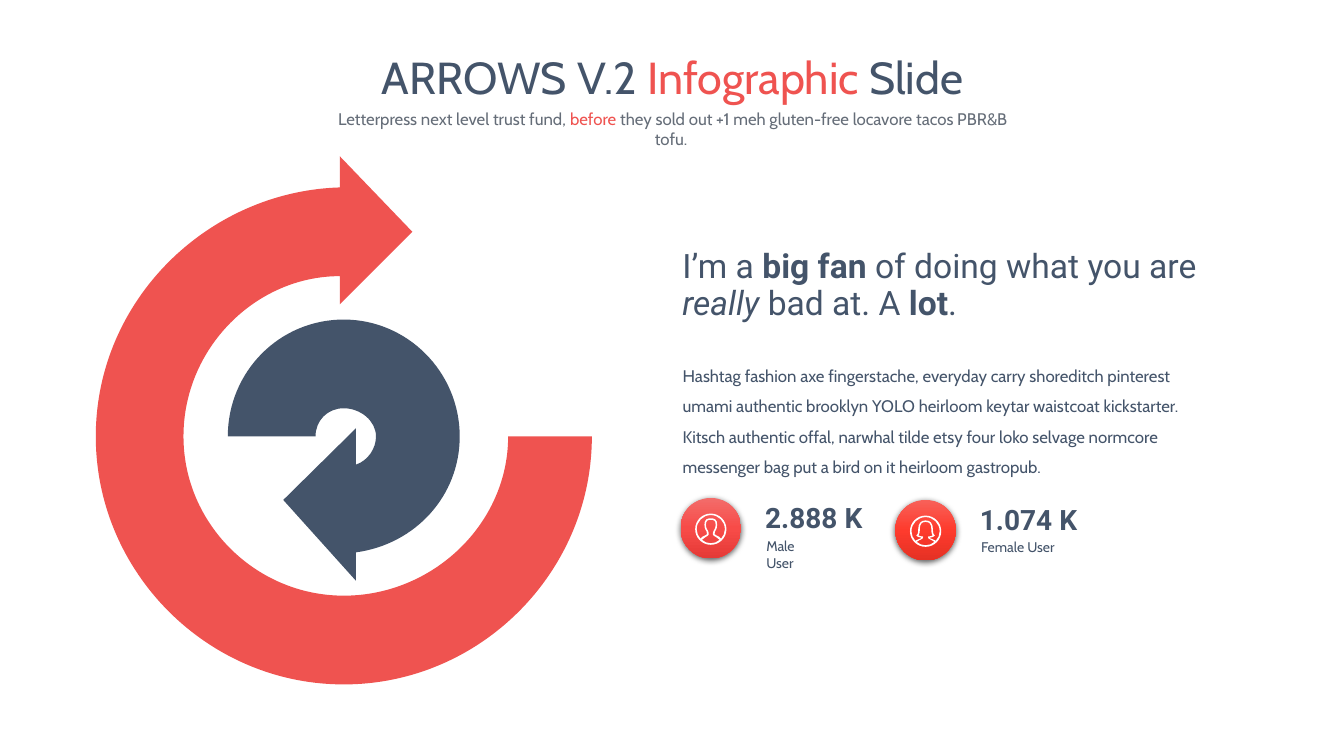
"""Build the ARROWS V.2 infographic slide with two ring arrows and user figures."""
import pptx
import pptx.dml.color
import pptx.enum.shapes
import pptx.enum.text
import pptx.oxml
import pptx.oxml.ns
import pptx.util

Inches = pptx.util.Inches
ALIGN = pptx.enum.text.PP_ALIGN
COLOURS = {"navy": "44546A", "red": "EF5350", "grey": "656D78", "white": "FFFFFF"}
NAMESPACE = pptx.oxml.ns.nsdecls("a")
RED_ARROW = [
    (5.04, 4.33), (5.04, 5.2), (4.29, 5.91), (3.41, 5.91),
    (2.54, 5.91), (1.82, 5.2), (1.82, 4.33), (1.82, 3.45), (2.54, 2.74), (3.37, 2.74),
    *[(3.37, 3.02)] * 3, *[(4.09, 2.3)] * 3, *[(3.37, 1.55)] * 3, *[(3.37, 1.86)] * 3,
    (2.06, 1.9), (0.95, 2.98), (0.95, 4.33), (0.95, 5.68), (2.06, 6.79), (3.41, 6.79),
    (4.76, 6.79), (5.87, 5.68), (5.87, 4.33),
]
NAVY_ARROW = [
    (4.56, 4.33), (4.56, 3.69), (4.04, 3.17), (3.41, 3.17),
    (2.77, 3.17), (2.26, 3.69), (2.26, 4.33), *[(3.13, 4.33)] * 3,
    (3.13, 4.17), (3.25, 4.05), (3.41, 4.05), (3.57, 4.05), (3.73, 4.17), (3.73, 4.33),
    (3.73, 4.45), (3.65, 4.57), (3.53, 4.61), *[(3.53, 4.25)] * 3, *[(2.81, 4.96)] * 3,
    *[(3.53, 5.76)] * 3, *[(3.53, 5.48)] * 3, (4.12, 5.4), (4.56, 4.92), (4.56, 4.33),
]
DISC = [(0, -155), (86, -155), (155, -86), (155, 0), (155, 86), (86, 155), (0, 155)]
SKY = [(126, 70), (140, 36), (140, 0), (140, -77), (77, -140), (0, -140)]
CHEST = [(64, 128), (34, 140), (0, 140)]
MALE_ICON = [
    [(0, -107), (35, -110), (65, -95), (63, -45), (63, -5), (50, 10), (42, 22),
     (30, 50), (38, 55), (55, 62), (75, 70), (90, 75), (102, 95)] + SKY,
    [(0, -92), (35, -95), (48, -80), (48, -45), (48, -10), (35, 5), (28, 16),
     (12, 50), (20, 65), (50, 77), (65, 83), (78, 90), (88, 106)] + CHEST,
    DISC,
]
FEMALE_ICON = [
    [(0, -107), (50, -107), (72, -75), (73, -20), (73, 20), (78, 32), (92, 45),
     (85, 54), (65, 61), (40, 65), (42, 75), (80, 78), (102, 95)] + SKY,
    [(0, -92), (40, -92), (57, -70), (57, -20), (57, 15), (62, 30), (70, 42),
     (60, 48), (45, 52), (24, 53), (18, 82), (55, 78), (88, 106)] + CHEST,
    DISC,
]


def rgb(name):
    return pptx.dml.color.RGBColor.from_string(COLOURS[name])


def place(shape, left, top, width, height):
    box = {"left": left, "top": top, "width": width, "height": height}
    for name, value in box.items():
        setattr(shape, name, Inches(value))


def write(shape, runs, size, font, colour="navy", inset=None, **paragraph_format):
    frame = shape.text_frame
    frame_format = {
        "word_wrap": True,
        "auto_size": pptx.enum.text.MSO_AUTO_SIZE.NONE,
        "vertical_anchor": pptx.enum.text.MSO_ANCHOR.TOP,
    }
    if inset is not None:
        for side in ("left", "top", "right", "bottom"):
            frame_format["margin_" + side] = Inches(inset)
    for name, value in frame_format.items():
        setattr(frame, name, value)
    paragraph = frame.paragraphs[0]
    values = {"alignment": ALIGN.LEFT, "space_before": pptx.util.Pt(0), **paragraph_format}
    for name, value in values.items():
        setattr(paragraph, name, value)
    for text, changes in runs:
        run = paragraph.add_run()
        run.text = text
        run.font.color.rgb = rgb(changes.get("colour", colour))
        font_format = {
            "name": font,
            "size": pptx.util.Pt(size),
            "bold": changes.get("bold", False),
            "italic": changes.get("italic", False),
        }
        for name, value in font_format.items():
            setattr(run.font, name, value)


def add_text(shapes, box, runs, size, font, **options):
    shape = shapes.add_textbox(*[Inches(value) for value in box])
    write(shape, runs, size, font, **options)


def add_curves(shapes, contours, colour):
    """Fill closed contours, each a start point followed by three points per curve."""
    scaled = [[(Inches(x), Inches(y)) for x, y in contour] for contour in contours]
    builder = shapes.build_freeform(*scaled[0][0])
    for index, contour in enumerate(scaled):
        if index:
            builder.move_to(*contour[0])
        builder.add_line_segments(contour[1:], close=True)
    shape = builder.convert_to_shape()
    lines = list(shape._element.iter(pptx.oxml.ns.qn("a:lnTo")))
    for first in range(0, len(lines), 3):
        curve = pptx.oxml.parse_xml(f"<a:cubicBezTo {NAMESPACE}/>")
        lines[first].addprevious(curve)
        for line in lines[first:first + 3]:
            curve.append(line[0])
            line.getparent().remove(line)
    shape.shadow.inherit = False
    shape.fill.solid()
    shape.fill.fore_color.rgb = rgb(colour)
    shape.line.fill.background()


def add_icon(shapes, centre_x, centre_y, halves):
    contours = []
    for half in halves:
        loop = half + [(-x, y) for x, y in reversed(half)][1:]
        contours.append([(centre_x + x / 1000, centre_y + y / 1000) for x, y in loop])
    add_curves(shapes, contours, "white")


def add_badge(shapes, left, top, gradient):
    oval = pptx.enum.shapes.MSO_SHAPE.OVAL
    badge = shapes.add_shape(oval, *[Inches(value) for value in (left, top, 0.6, 0.6)])
    badge.shadow.inherit = False
    badge.line.fill.background()
    stops = "".join(
        f'<a:gs pos="{i * 50000}"><a:srgbClr val="{colour}"/></a:gs>'
        for i, colour in enumerate(gradient)
    )
    properties = badge._element.spPr
    properties.find(pptx.oxml.ns.qn("a:prstGeom")).addnext(pptx.oxml.parse_xml(
        f'<a:gradFill {NAMESPACE} rotWithShape="1"><a:gsLst>{stops}</a:gsLst>'
        '<a:lin ang="5400000" scaled="0"/></a:gradFill>'))
    properties.find(pptx.oxml.ns.qn("a:effectLst")).append(pptx.oxml.parse_xml(
        f'<a:outerShdw {NAMESPACE} blurRad="57150" dist="19050" dir="5400000" algn="ctr" '
        'rotWithShape="0"><a:srgbClr val="000000"><a:alpha val="63000"/></a:srgbClr>'
        '</a:outerShdw>'))


def add_user(slide, left, top, figure, label, label_box, gradient, icon):
    shapes = slide.shapes.add_group_shape().shapes
    add_badge(shapes, left, top, gradient)
    add_text(shapes, (left + 0.74, top - 0.02, 1.19, 0.44),
             [(figure, {"bold": True})], 20, "Roboto")
    add_text(shapes, label_box, [(label, {})], 10, "Cabin", inset=0)
    add_icon(shapes, left + 0.3, top + 0.31, icon)


def main():
    presentation = pptx.Presentation()
    presentation.slide_width = Inches(13.33)
    presentation.slide_height = Inches(7.5)
    slide = presentation.slides.add_slide(presentation.slide_layouts[1])

    title, body = slide.placeholders
    place(title, 2.54, 0.44, 8.26, 0.64)
    write(title, [("ARROWS V.2 ", {}), ("Infographic ", {"colour": "red"}), ("Slide", {})],
          32, "Cabin", alignment=ALIGN.CENTER)
    add_text(slide.shapes, (3.2, 1.03, 6.95, 0.3), [
        ("Letterpress next level trust fund, ", {}), ("before", {"colour": "red"}),
        (" they sold out +1 meh gluten-free locavore tacos PBR&B tofu. ", {}),
    ], 12, "Cabin", colour="grey", alignment=ALIGN.CENTER)

    arrows = slide.shapes.add_group_shape().shapes
    add_curves(arrows, [RED_ARROW], "red")
    add_curves(arrows, [NAVY_ARROW], "navy")

    add_text(slide.shapes, (6.67, 2.43, 5.46, 0.83), [
        ("I’m a ", {}), ("big fan ", {"bold": True}), ("of doing what you are ", {}),
        ("really", {"italic": True}), (" bad at. A ", {}), ("lot", {"bold": True}), (".", {}),
    ], 24, "Roboto", line_spacing=0.9)

    place(body, 6.67, 3.48, 5.32, 1.31)
    properties = body.text_frame.paragraphs[0]._p.get_or_add_pPr()
    for name in ("marL", "indent"):
        properties.set(name, "0")
    properties.append(pptx.oxml.parse_xml(f"<a:buNone {NAMESPACE}/>"))
    write(body, [(
        "Hashtag fashion axe fingerstache, everyday carry shoreditch pinterest umami authentic "
        "brooklyn YOLO heirloom keytar waistcoat kickstarter. Kitsch authentic offal, narwhal "
        "tilde etsy four loko selvage normcore messenger bag put a bird on it heirloom "
        "gastropub.", {})], 12, "Cabin", line_spacing=1.5)

    add_user(slide, 6.75, 4.94, "2.888 K", "Male User", (7.6, 5.33, 0.55, 0.17),
             ("F36C6A", "F74B48", "E53A37"), MALE_ICON)
    add_user(slide, 8.88, 4.96, "1.074 K", "Female User", (9.73, 5.34, 0.75, 0.17),
             ("F86159", "FE3B2D", "E53124"), FEMALE_ICON)
    presentation.save("out.pptx")


if __name__ == "__main__":
    main()
